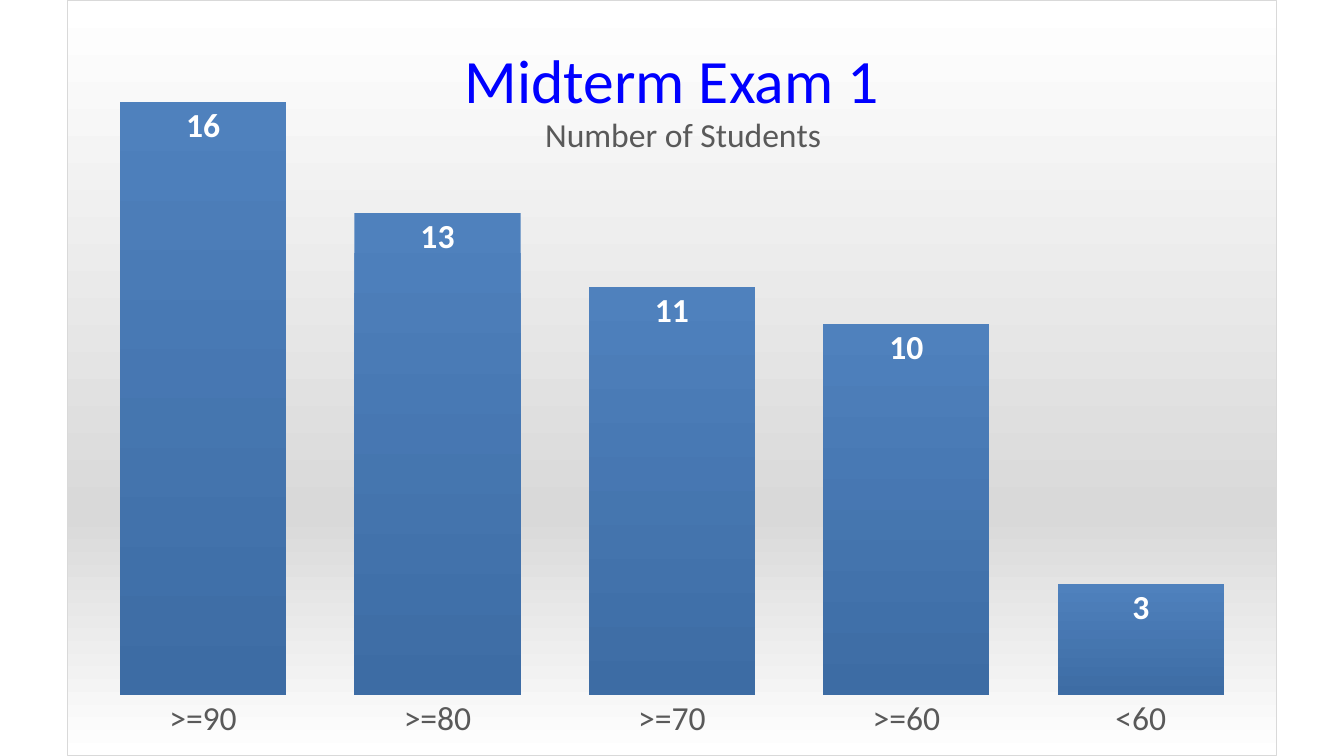
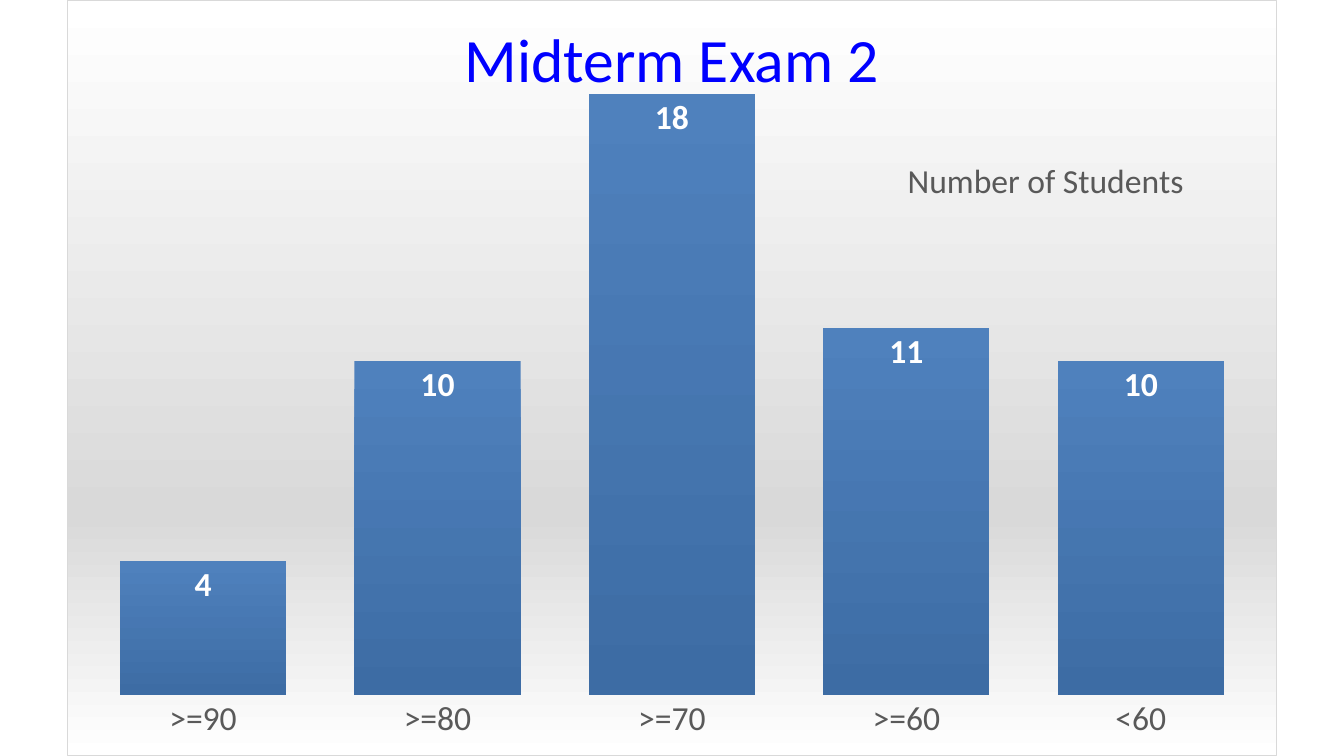
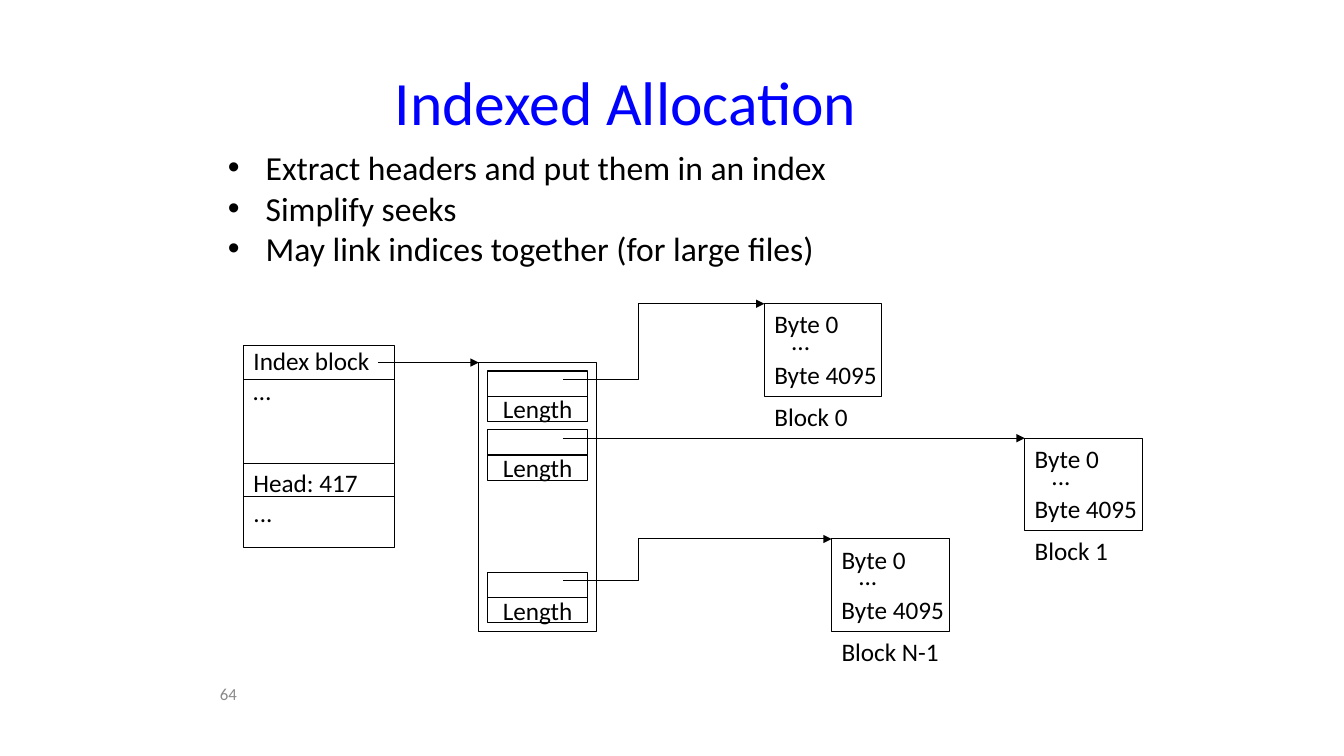
from lxml.etree import SubElement as Sub
from pptx import Presentation
from pptx.chart.data import CategoryChartData as Data
from pptx.dml.color import RGBColor as RGB
from pptx.enum.chart import XL_CHART_TYPE as Kind, XL_LABEL_POSITION as Spot
from pptx.enum.chart import XL_TICK_MARK as Tick
from pptx.enum.shapes import MSO_CONNECTOR as Conn, MSO_SHAPE as Form
from pptx.enum.text import MSO_ANCHOR as Anchor, MSO_AUTO_SIZE as Fit, PP_ALIGN as Align
from pptx.oxml import parse_xml
from pptx.oxml.ns import nsdecls, qn
from pptx.util import Pt

# Shared style
FACE = "Calibri"
BLACK = RGB(0, 0, 0)
WHITE = RGB(255, 255, 255)
BLUE = RGB(0, 0, 255)
GREY = RGB(0x59, 0x59, 0x59)
PALE = RGB(0xD9, 0xD9, 0xD9)
DIM = RGB(0x89, 0x89, 0x89)
BAR_TOP = RGB(0x4F, 0x81, 0xBD)
BAR_END = RGB(0x3D, 0x6C, 0xA4)
THIN = 0.75

# Chart slides: title, title top and height, values, axis top, caption place
GRADES = [">=90", ">=80", ">=70", ">=60", "<60"]
CAPTION = "Number of Students"
EXAMS = [
    ("Midterm Exam 1", 23, 66, [16, 13, 11, 10, 3], 18, (0.39, 0.14)),
    ("Midterm Exam 2", 22, 38, [4, 10, 18, 11, 10], 20, (0.69, 0.2)),
]

# Diagram slide
POINTS = [
    "Extract headers and put them in an index",
    "Simplify seeks",
    "May link indices together (for large files)",
]
FIELDS = [("Index block", 0), ("…", 0), ("Head: 417", 44), ("...", 0)]  # text, gap
RULES = [271, 331, 355]
# Index entry top, block left and top, block name and its width
LINKS = [
    (265, 546, 217, "Block 0", 68),
    (307, 732, 313, "Block 1", 68),
    (409, 594, 385, "Block N-1", 85),
]
# Text in a block: offset, width
BYTES = [("Byte 0", 0, 0, 62), ("Byte 4095", 0, 36, 89), ("...", 12, 12, 28)]
BOX_W, BOX_H = 84, 66
ROW_W, ROW_H = 72, 18
INDEX_X, INDEX_Y = 342, 259


def style(font, size, color=BLACK, bold=False):
    font.name, font.size, font.bold = FACE, Pt(size), bold
    font.color.rgb = color


def move(shape, *box):
    shape.left, shape.top, shape.width, shape.height = map(Pt, box)


def head(slide, text, *box):
    title = slide.shapes.title
    move(title, *box)
    frame = title.text_frame
    frame.text, frame.vertical_anchor = text, Anchor.MIDDLE
    para = frame.paragraphs[0]
    para.alignment = Align.CENTER
    style(para.font, 44, BLUE)
    slide.shapes._spTree.append(title._element)  # in front of the chart


# Chart parts
def shade(*stops):
    marks = "".join(f'<a:gs pos="{pos * 1000}"><a:srgbClr val="{color}"/></a:gs>'
                    for pos, color in stops)
    return parse_xml(f'<a:gradFill {nsdecls("a")}><a:gsLst>{marks}</a:gsLst>'
                     '<a:lin ang="5400000" scaled="0"/></a:gradFill>')


def place(node, index, **vals):
    for old in node.findall(qn("c:layout")):
        node.remove(old)
    tags = "".join(f'<c:{tag} val="{val}"/>' for tag, val in vals.items())
    node.insert(index, parse_xml(f'<c:layout {nsdecls("c")}><c:manualLayout>{tags}'
                                 '</c:manualLayout></c:layout>'))


def exam(slide, vals, top, spot):
    data = Data()
    data.categories = GRADES
    data.add_series("Series 1", vals)
    chart = slide.shapes.add_chart(Kind.COLUMN_CLUSTERED, Pt(48), 0,
                                   Pt(864), Pt(540), data).chart
    style(chart.font, 10)
    chart.has_legend = False

    # Background and border
    space = chart._chartSpace
    back = parse_xml(f'<c:spPr {nsdecls("c", "a")}><a:ln w="{Pt(THIN)}"><a:solidFill>'
                     f'<a:srgbClr val="{PALE}"/></a:solidFill></a:ln></c:spPr>')
    back.insert(0, shade((0, WHITE), (68, PALE), (100, WHITE)))
    space.find(qn("c:chart")).addnext(back)

    # Caption and plot area
    title = chart.chart_title
    title.text_frame.text = CAPTION
    style(title.text_frame.paragraphs[0].font, 24, GREY)
    place(title._element, 1, xMode="edge", yMode="edge", x=spot[0], y=spot[1])
    place(space.find(".//" + qn("c:plotArea")), 0, layoutTarget="inner",
          xMode="edge", yMode="edge", x=0.015, y=0.036, w=0.97, h=0.884)

    # Axes
    cat, val = chart.category_axis, chart.value_axis
    cat.major_tick_mark = Tick.NONE
    cat.format.line.fill.background()
    style(cat.tick_labels.font, 24, GREY)
    val.minimum_scale, val.maximum_scale = 0, top
    val.has_major_gridlines = val.visible = False

    # Bars and labels
    plot = chart.plots[0]
    plot.gap_width, plot.vary_by_categories = 41, False
    bars = plot.series[0]
    bars._element.get_or_add_spPr().insert(0, shade((0, BAR_TOP), (100, BAR_END)))
    tags = bars.data_labels
    tags.show_value, tags.position = True, Spot.INSIDE_END
    style(tags.font, 24, WHITE, True)


# Diagram parts
def ink(shape, arrow=False):
    shape.line.color.rgb, shape.line.width = BLACK, Pt(THIN)
    if arrow:
        Sub(shape.line._get_or_add_ln(), qn("a:tailEnd"), type="triangle")


def rect(shapes, *box):
    shape = shapes.add_shape(Form.RECTANGLE, *map(Pt, box))
    shape.shadow.inherit = False
    shape.fill.background()
    ink(shape)
    return shape


def line(shapes, x, y, end, arrow=False):
    rule = shapes.add_connector(Conn.STRAIGHT, Pt(x), Pt(y), Pt(end), Pt(y))
    ink(rule, arrow)
    Sub(rule._element.spPr, qn("a:effectLst"))


def elbow(shapes, x, y, mid, end, high):
    pen = shapes.build_freeform(Pt(x), Pt(y), scale=1.0)
    pen.add_line_segments([(Pt(mid), Pt(y)), (Pt(mid), Pt(high)), (Pt(end), Pt(high))],
                          close=False)
    bend = pen.convert_to_shape()
    bend.shadow.inherit = False
    bend.fill.background()
    ink(bend, True)


def label(shapes, text, x, y, wide, high=29):
    frame = shapes.add_textbox(Pt(x), Pt(y), Pt(wide), Pt(high)).text_frame
    frame.word_wrap, frame.auto_size = False, Fit.SHAPE_TO_FIT_TEXT
    frame.text = text
    for para in frame.paragraphs:
        style(para.font, 18)
    return frame


def entry(shapes, y):
    group = shapes.add_group_shape().shapes
    rect(group, INDEX_X + 6, y, ROW_W, ROW_H)
    frame = rect(group, INDEX_X + 6, y + ROW_H, ROW_W, ROW_H).text_frame
    frame.text, frame.word_wrap = "Length", False
    frame.vertical_anchor = Anchor.MIDDLE
    para = frame.paragraphs[0]
    para.alignment = Align.CENTER
    style(para.font, 18)


def block(shapes, x, y, name, wide):
    rect(shapes, x, y, BOX_W, BOX_H)
    for text, right, down, span in BYTES:
        label(shapes, text, x + right, y + down, span)
    label(shapes, name, x, y + BOX_H, wide)


def diagram(slide):
    shapes = slide.shapes
    # Bullets
    body = slide.placeholders[1]
    move(body, 155.5, 101.5, 647, 144)
    body.text_frame.text = "\n".join(POINTS)
    for para in body.text_frame.paragraphs:
        props = para._p.get_or_add_pPr()
        props.set("marL", str(Pt(27)))
        props.set("indent", str(-Pt(27)))
        para.space_before = Pt(0)
        style(para.font, 24)

    # File header
    frame = label(shapes, "\n".join(text for text, _ in FIELDS), 174, 243, 100, 137)
    for para, (_, gap) in zip(frame.paragraphs, FIELDS):
        if gap:
            para.space_before = Pt(gap)
    rect(shapes, 174, 247, 108, 144)
    for y in RULES:
        line(shapes, 174, y, 282)

    # Index block, its entries and the blocks they lead to
    rect(shapes, INDEX_X, INDEX_Y, BOX_W, 192)
    line(shapes, 270, INDEX_Y, INDEX_X, True)
    for top, x, y, name, wide in LINKS:
        entry(shapes, top)
        block(shapes, x, y, name, wide)
        start, level = INDEX_X + 60, top + 6
        if level == y:
            line(shapes, start, y, x, True)
        else:
            elbow(shapes, start, level, 456, x, y)

    # Page number
    frame = shapes.add_textbox(Pt(150), Pt(481), Pt(78), Pt(29)).text_frame
    frame.text, frame.word_wrap = "64", True
    frame.vertical_anchor = Anchor.MIDDLE
    style(frame.paragraphs[0].font, 12, DIM)


def main():
    deck = Presentation()
    deck.slide_width, deck.slide_height = Pt(960), Pt(540)
    for name, top, high, vals, peak, spot in EXAMS:
        slide = deck.slides.add_slide(deck.slide_layouts[5])
        exam(slide, vals, peak, spot)
        head(slide, name, 48, top, 864, high)
    slide = deck.slides.add_slide(deck.slide_layouts[1])
    head(slide, "Indexed Allocation", 144, 18, 606, 108)
    diagram(slide)
    deck.save("out.pptx")


if __name__ == "__main__":
    main()
